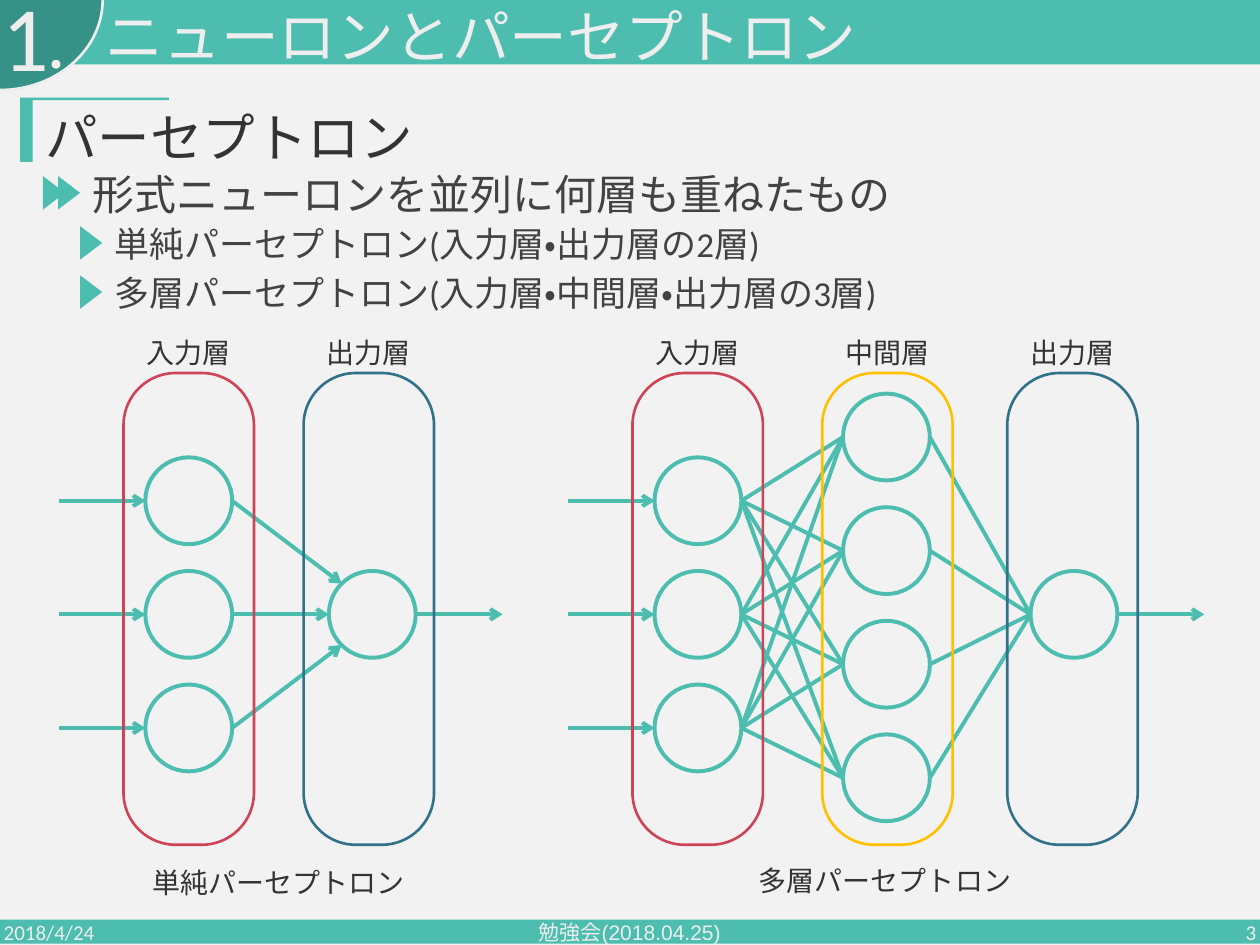
from dataclasses import dataclass

from lxml import etree
from pptx import Presentation
from pptx.dml.color import RGBColor
from pptx.enum import lang, shapes, text
from pptx.oxml.ns import qn
from pptx.util import Cm, Pt

TEAL, DARK_TEAL, PAPER, PALE = "4DBDB0", "369287", "F2F2F2", "EEEEEE"
INK, GREY, RED, BLUE, YELLOW = "333333", "424242", "CE4457", "31718A", "FFC000"
SHAPE, ALIGN, ANCHOR = shapes.MSO_SHAPE, text.PP_ALIGN, text.MSO_ANCHOR
NODE, PITCH = 3.5, 4.58
CAPSULE_W, CAPSULE_H, CAPSULE_DROP = 5.26, 19.02, 1.65


@dataclass
class Layer:
    """A layer: offsets are measured from the box of its network."""
    label: str
    color: str
    count: int
    capsule_x: float
    node_x: float
    center_y: float = 11.38


def rgb(value):
    """Turn a hex string into a colour."""
    return RGBColor.from_string(value)


def add_shape(parent, kind, box, fill=None, line=None, width=3, rotation=0):
    """Add a flat preset shape."""
    sp = parent.add_shape(kind, *map(Cm, box))
    sp.shadow.inherit = False
    sp.rotation = rotation
    if fill:
        sp.fill.solid()
        sp.fill.fore_color.rgb = rgb(fill)
    else:
        sp.fill.background()
    if line:
        sp.line.color.rgb = rgb(line)
        sp.line.width = Pt(width)
    else:
        sp.line.fill.background()
    return sp


def write(sp, words, size, color, font="Calibri", align=ALIGN.LEFT,
          anchor=ANCHOR.TOP, spacing=None):
    """Fill a text holder with one formatted run."""
    tf = sp.text_frame
    tf.word_wrap = True
    tf.auto_size = text.MSO_AUTO_SIZE.NONE
    tf.vertical_anchor = anchor
    p = tf.paragraphs[0]
    p.alignment = align
    p.space_before = Pt(0)
    if spacing:
        p.line_spacing = spacing
    r = p.add_run()
    r.text = words
    r.font.size = Pt(size)
    r.font.name = font
    r.font.color.rgb = rgb(color)
    r.font.language_id = lang.MSO_LANGUAGE_ID.JAPANESE


def add_text(parent, box, *args, **kwargs):
    """Add a text box."""
    write(parent.add_textbox(*map(Cm, box)), *args, **kwargs)


def add_link(parent, start, end, arrow=False):
    """Join two points with a line or an arrow."""
    c = parent.add_connector(shapes.MSO_CONNECTOR.STRAIGHT, *map(Cm, start + end))
    c.line.color.rgb = rgb(TEAL)
    c.line.width = Pt(4.5)
    sp_pr = c._element.spPr
    if arrow:
        etree.SubElement(sp_pr.find(qn("a:ln")), qn("a:tailEnd"), type="arrow")
    etree.SubElement(sp_pr, qn("a:effectLst"))


def header(s, x, y, w, h):
    """Draw the title bar with its section number."""
    add_shape(s.shapes, SHAPE.RECTANGLE, (x, y, w, h), TEAL)
    add_shape(s.shapes, SHAPE.ARC, (x - 3.66, y - 4.17, 7.29, 8.31), DARK_TEAL, PALE, rotation=90)
    add_shape(s.shapes, SHAPE.OVAL, (x + 2.08, y + 2.41, 0.36, 0.36), PALE)
    add_text(s.shapes, (x - 0.15, y - 0.43, 4, 3.94), "1", 105, PALE, spacing=0.9)
    title = s.shapes.title
    title.left, title.top, title.width, title.height = map(Cm, (x + 4.01, y + 0.2, 37, 2.21))
    write(title, "ニューロンとパーセプトロン", 66, PALE, spacing=0.9)
    s.shapes._spTree.append(title._element)


def footer(s, x, y, w, h):
    """Draw the bottom bar with date, event and page number."""
    add_shape(s.shapes, SHAPE.RECTANGLE, (x, y, w, h), TEAL)
    top, height = y - 0.5, 2.03
    for left, width, words, font, align in (
            (x - 0.1, 11.43, "2018/4/24", "Calibri", ALIGN.LEFT),
            (x + 16.81, 17.15, "勉強会(2018.04.25)", "Arial", ALIGN.CENTER),
            (x + w - 11.33, 11.43, "3", "Calibri", ALIGN.RIGHT)):
        add_text(s.shapes, (left, top, width, height), words, 24, PALE, font, align, ANCHOR.MIDDLE)


def outline(s, x, y, w):
    """Write the heading and its marked points."""
    add_shape(s.shapes, SHAPE.RECTANGLE, (x, y + 0.08, 0.51, 2.51), TEAL)
    add_shape(s.shapes, SHAPE.RECTANGLE, (x, y, 6, 0.1), TEAL)
    add_text(s.shapes, (x + 0.76, y + 0.45, w - 0.76, 2.6), "パーセプトロン", 60, INK, spacing=0.9)
    points = (
        ("形式ニューロンを並列に何層も重ねたもの", 48, 2.67, 2.97, (0.69, 1.3)),
        ("単純パーセプトロン(入力層・出力層の2層)", 40, 3.56, 5.08, (2.19,)),
        ("多層パーセプトロン(入力層・中間層・出力層の3層)", 40, 3.56, 7.06, (2.19,)))
    for words, size, dx, dy, marks in points:
        for mark in marks:
            add_shape(s.shapes, SHAPE.ISOSCELES_TRIANGLE,
                      (x + mark, y + dy + (0.42 if len(marks) > 1 else 0.33), 1.35, 0.89),
                      TEAL, rotation=90)
        add_text(s.shapes, (x + dx, y + dy, w - dx, 2.4), words, size, GREY, spacing=0.9)


def network(s, x, y, h, caption, layers, arrows):
    """Draw a layered network with its labels and caption."""
    g = s.shapes.add_group_shape().shapes
    columns = []
    for layer in layers:
        first = y + layer.center_y - (layer.count - 1) / 2 * PITCH
        column = [(x + layer.node_x, first + i * PITCH) for i in range(layer.count)]
        for left, cy in column:
            add_shape(g, SHAPE.OVAL, (left, cy - NODE / 2, NODE, NODE), PAPER, TEAL, 4.5)
        columns.append(column)
    for left, cy in columns[0]:
        add_link(g, (x, cy), (left, cy), True)
    for sources, targets in zip(columns, columns[1:]):
        for left, cy in sources:
            for tx, ty in targets:
                end = (tx, ty)
                if arrows and abs(cy - ty) > 0.01:
                    side = 1 if cy > ty else -1
                    end = (tx + 0.146 * NODE, ty + side * 0.354 * NODE)
                add_link(g, (left + NODE, cy), end, arrows)
    for left, cy in columns[-1]:
        add_link(g, (left + NODE, cy), (left + 2 * NODE, cy), True)
    for layer in layers:
        left = x + layer.capsule_x
        sp = add_shape(g, SHAPE.ROUNDED_RECTANGLE,
                       (left, y + CAPSULE_DROP, CAPSULE_W, CAPSULE_H), line=layer.color)
        sp.adjustments[0] = 0.4
        add_text(g, (left + CAPSULE_W / 2 - 3.07, y, 6.15, 1.63), layer.label, 32, INK,
                 align=ALIGN.CENTER)
    middle = x + (layers[0].capsule_x + layers[-1].capsule_x + CAPSULE_W) / 2
    add_text(g, (middle - 5.45, y + h, 10.9, 1.63), caption, 32, INK, align=ALIGN.CENTER)


def main():
    """Build the slide and save it."""
    prs = Presentation()
    prs.slide_width, prs.slide_height = Cm(50.8), Cm(38.1)
    s = prs.slides.add_slide(prs.slide_layouts[5])
    s.background.fill.solid()
    s.background.fill.fore_color.rgb = rgb(PAPER)
    header(s, 0, 0, 50.8, 2.6)
    footer(s, 0, 37.08, 50.8, 0.97)
    outline(s, 0.81, 3.94, 48.8)
    network(s, 2.36, 13.39, 21.38, "単純パーセプトロン", [
        Layer("入力層", RED, 3, 2.62, 3.5),
        Layer("出力層", BLUE, 1, 9.88, 10.9)], True)
    network(s, 22.89, 13.39, 21.28, "多層パーセプトロン", [
        Layer("入力層", RED, 3, 2.61, 3.5),
        Layer("中間層", YELLOW, 4, 10.26, 11.1, 11.1),
        Layer("出力層", BLUE, 1, 17.72, 18.66)], False)
    prs.save("out.pptx")


if __name__ == "__main__":
    main()
